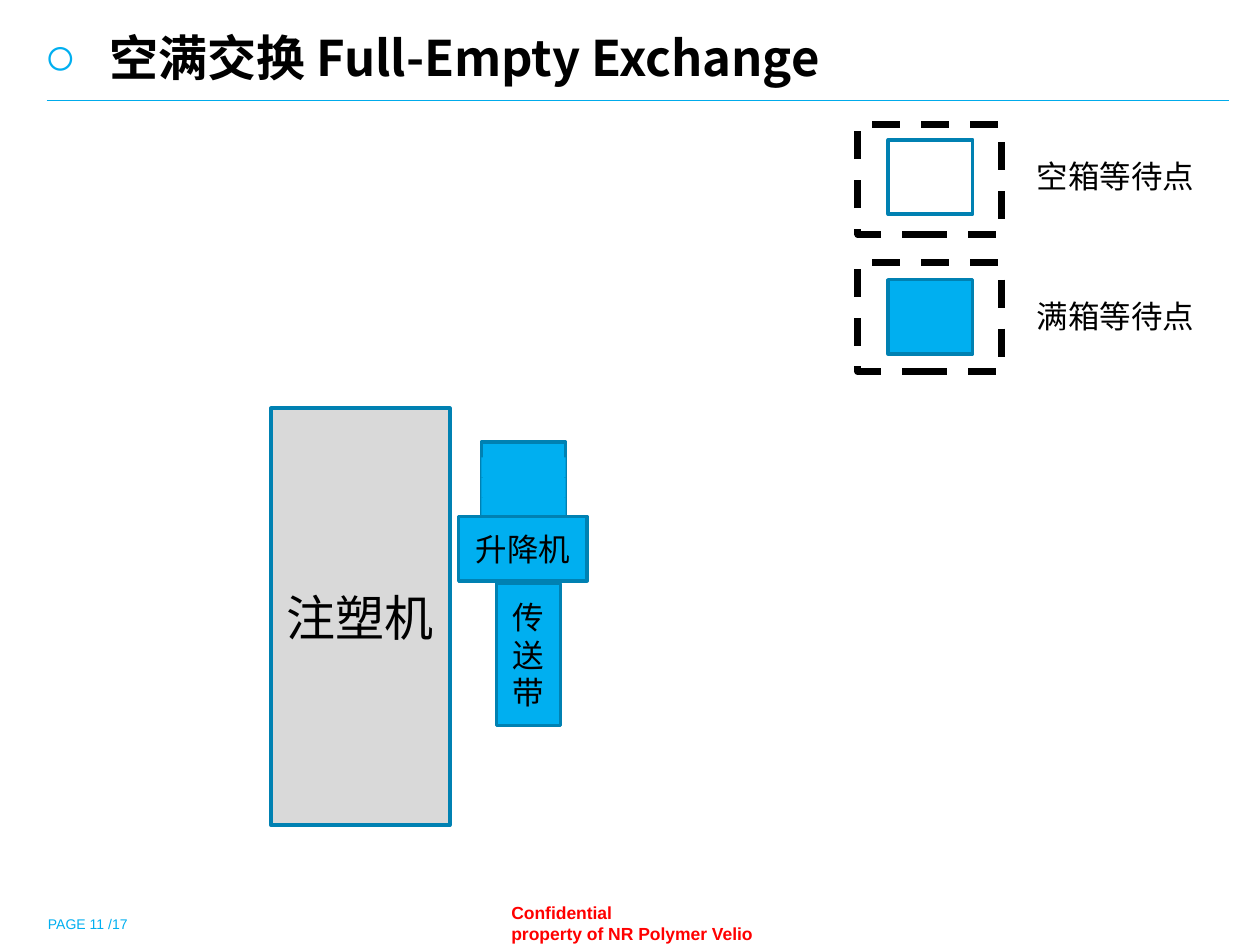
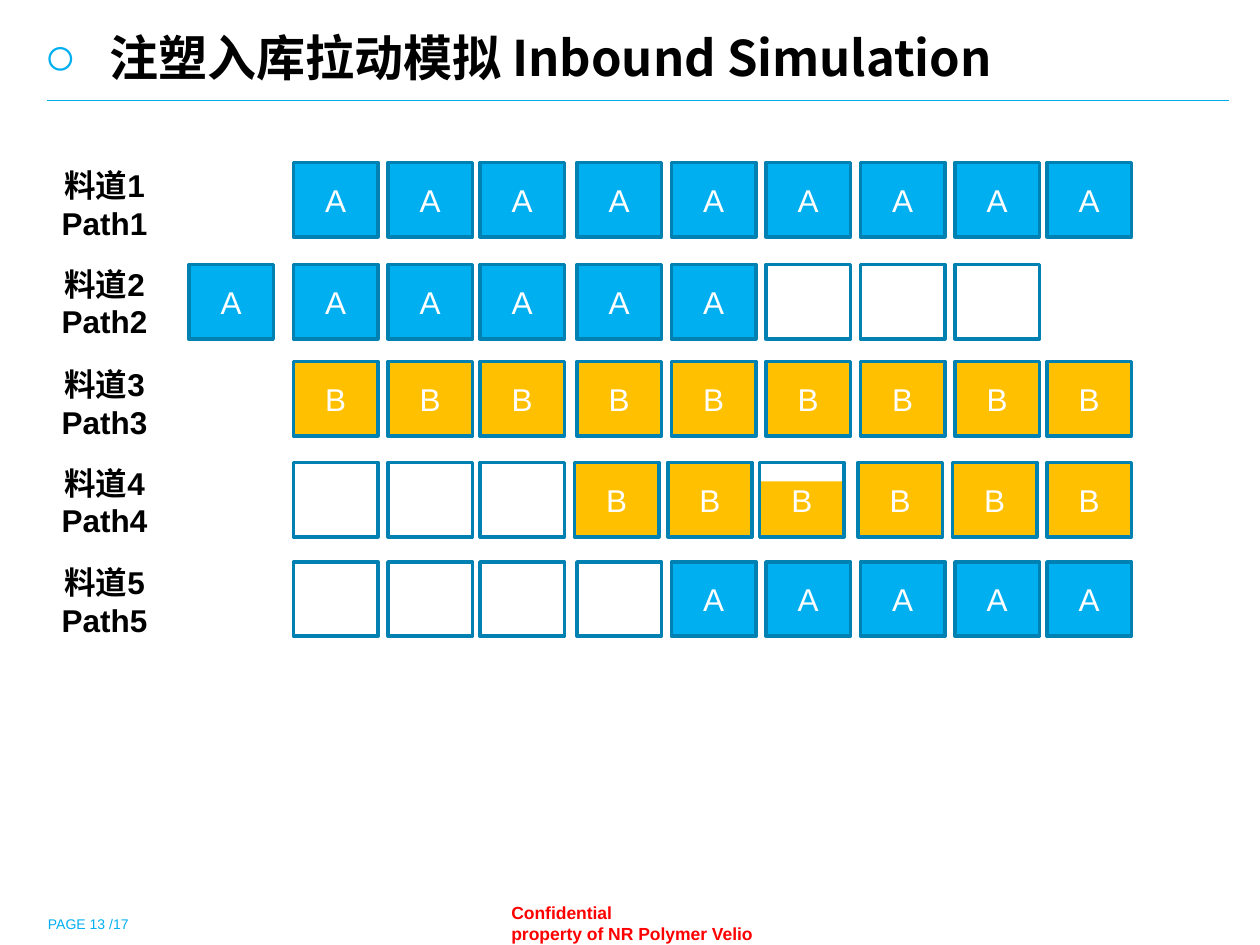
from lxml import etree
from pptx import Presentation
from pptx import util as u
from pptx.dml.color import RGBColor
from pptx.enum import dml, shapes, text
from pptx.oxml.ns import qn

SANS, CJK = "Arial", "Noto Sans CJK SC"
BLUE, EDGE, GOLD = "00AFF0", "0081B2", "FFC000"
WHITE, BLACK, GREY, RED, RULE = "FFFFFF", "000000", "D9D9D9", "FF0000", "00ABEB"
BOX_W, BOX_H, BAND_H = 0.67, 0.59, 0.16
TITLE = dict(name=CJK, size=28, bold=True, color=BLACK)
LABEL = dict(name=SANS, size=18, color=BLACK)
HEAD = dict(LABEL, bold=True)
MARK = dict(LABEL, color=WHITE)
NOTE = dict(name=SANS, size=10, bold=True, color=RED)
PAGE = dict(name=SANS, size=8, color=BLUE)

# Lanes on the simulation slide: letters are loaded boxes, "-" is an empty one,
# "b" is a partly filled one and "." leaves the place free
COLS = [1.5, 2.33, 3.08, 3.81, 4.58, 5.33, 6.08, 6.83, 7.58, 8.31]
SHIFTED = [1.5, 2.33, 3.08, 3.81, 4.56, 5.3, 6.03, 6.81, 7.56, 8.31]
LANES = [
    (1.29, 1.27, ".AAAAAAAAA", COLS),
    (2.1, 2.05, "AAAAAA---.", COLS),
    (2.87, 2.85, ".BBBBBBBBB", COLS),
    (3.67, 3.63, ".---BBbBBB", SHIFTED),
    (4.46, 4.42, ".----AAAAA", COLS),
]
FILLS = {"A": BLUE, "B": GOLD, "-": WHITE, "b": None}


def rgb(code):
    return RGBColor.from_string(code)


def place(*at):
    return [u.Inches(n) for n in at]


def write(frame, words, style, align="LEFT", anchor="TOP", inset=None):
    """Fill a text frame, one paragraph per line of words."""
    frame.text = words
    look = dict(word_wrap=True, auto_size=text.MSO_AUTO_SIZE.NONE,
                vertical_anchor=text.MSO_ANCHOR[anchor])
    if inset is not None:
        for side in ("left", "top", "right", "bottom"):
            look["margin_" + side] = u.Inches(inset)
    for key, val in look.items():
        setattr(frame, key, val)
    for para in frame.paragraphs:
        para.alignment = text.PP_ALIGN[align]
        for run in para.runs:
            for key, val in style.items():
                if key == "color":
                    run.font.color.rgb = rgb(val)
                else:
                    setattr(run.font, key, u.Pt(val) if key == "size" else val)
            # East Asian glyphs need their own typeface
            etree.SubElement(run.font._element, qn("a:ea"), typeface=CJK)


def label(slide, at, words, style, **form):
    box = slide.shapes.add_textbox(*place(*at))
    write(box.text_frame, words, style, **form)


def block(slide, at, fill=None, edge=EDGE, width=2, words="", style=MARK, dash=False):
    """Draw a rectangle with optional fill, outline and centred text."""
    rect = slide.shapes.add_shape(shapes.MSO_SHAPE.RECTANGLE, *place(*at))
    rect.shadow.inherit = False
    if fill:
        rect.fill.solid()
        rect.fill.fore_color.rgb = rgb(fill)
    else:
        rect.fill.background()
    if edge:
        rect.line.color.rgb = rgb(edge)
        rect.line.width = u.Pt(width)
        if dash:
            rect.line.dash_style = dml.MSO_LINE.DASH
    else:
        rect.line.fill.background()
    if words:
        write(rect.text_frame, words, style, "CENTER", "MIDDLE")


def bands(slide, left, tops, fill):
    for top in tops:
        block(slide, (left, top, BOX_W, BAND_H), fill, edge=None)


def bullet(para):
    """Give the title its hanging ring bullet."""
    props = para._p.get_or_add_pPr()
    props.set("marL", str(u.Inches(0.52)))
    props.set("indent", str(-u.Inches(0.52)))
    tint = etree.SubElement(props, qn("a:buClr"))
    etree.SubElement(tint, qn("a:srgbClr"), val=BLUE)
    etree.SubElement(props, qn("a:buSzPct"), val="110000")
    etree.SubElement(props, qn("a:buFont"), typeface=SANS)
    etree.SubElement(props, qn("a:buChar"), char="○")


def start(deck, title, page):
    """Add a slide with the shared title, rule and footers."""
    slide = deck.slides.add_slide(deck.slide_layouts[5])
    slide.background.fill.solid()
    slide.background.fill.fore_color.rgb = rgb(WHITE)
    head = slide.shapes.title
    head.left, head.top, head.width, head.height = place(0.25, 0.17, 9.66, 0.47)
    write(head.text_frame, title, TITLE)
    bullet(head.text_frame.paragraphs[0])
    rule = slide.shapes.add_connector(shapes.MSO_CONNECTOR.STRAIGHT,
                                      *place(0.37, 0.8, 9.75, 0.8))
    rule.line.color.rgb = rgb(RULE)
    rule.line.width = u.Pt(0.75)
    etree.SubElement(rule._element.spPr, qn("a:effectLst"))
    label(slide, (3.96, 7.11, 2.29, 0.43),
          "Confidential\vproperty of NR Polymer Velio", NOTE)
    label(slide, (0.38, 7.15, 8.03, 0.25), f"PAGE {page} /17", PAGE,
          anchor="BOTTOM", inset=0)
    return slide


def exchange(deck):
    slide = start(deck, "空满交换 Full-Empty Exchange", 11)
    # Waiting points
    points = [(0.99, 1.11, 1.2, WHITE, "空箱等待点"),
              (2.08, 2.22, 2.31, BLUE, "满箱等待点")]
    for frame, box, name, fill, words in points:
        block(slide, (6.81, frame, 1.14, 0.87), edge=BLACK, width=4, dash=True)
        block(slide, (7.05, box, BOX_W, BOX_H), fill)
        label(slide, (8.13, name, 1.62, 0.4), words, LABEL)
    # Machine, loaded box, lift and belt
    block(slide, (2.15, 3.24, 1.42, 3.31), GREY, words="注塑机",
          style=dict(LABEL, size=28))
    block(slide, (3.82, 3.51, BOX_W, BOX_H), BLUE)
    bands(slide, 3.82, (3.95, 3.79, 3.63), BLUE)
    block(slide, (3.64, 4.1, 1.02, 0.51), BLUE, words="升降机", style=LABEL)
    block(slide, (3.94, 4.63, 0.51, 1.13), BLUE, words="传送带", style=LABEL)


def inbound(deck):
    slide = start(deck, "注塑入库拉动模拟 Inbound Simulation", 13)
    for num, (top, name, marks, cols) in enumerate(LANES, 1):
        label(slide, (0.2, name, 1.26, 0.71), f"料道{num}\nPath{num}", HEAD,
              align="CENTER")
        for left, mark in zip(cols, marks):
            if mark == ".":
                continue
            if mark == "b":
                bands(slide, left, (3.96, 4.1, 3.82), GOLD)
            block(slide, (left, top, BOX_W, BOX_H), FILLS[mark],
                  words=mark.strip("-").upper())


def main():
    deck = Presentation()
    deck.slide_width, deck.slide_height = place(10, 7.5)
    exchange(deck)
    inbound(deck)
    deck.save("out.pptx")


if __name__ == "__main__":
    main()
